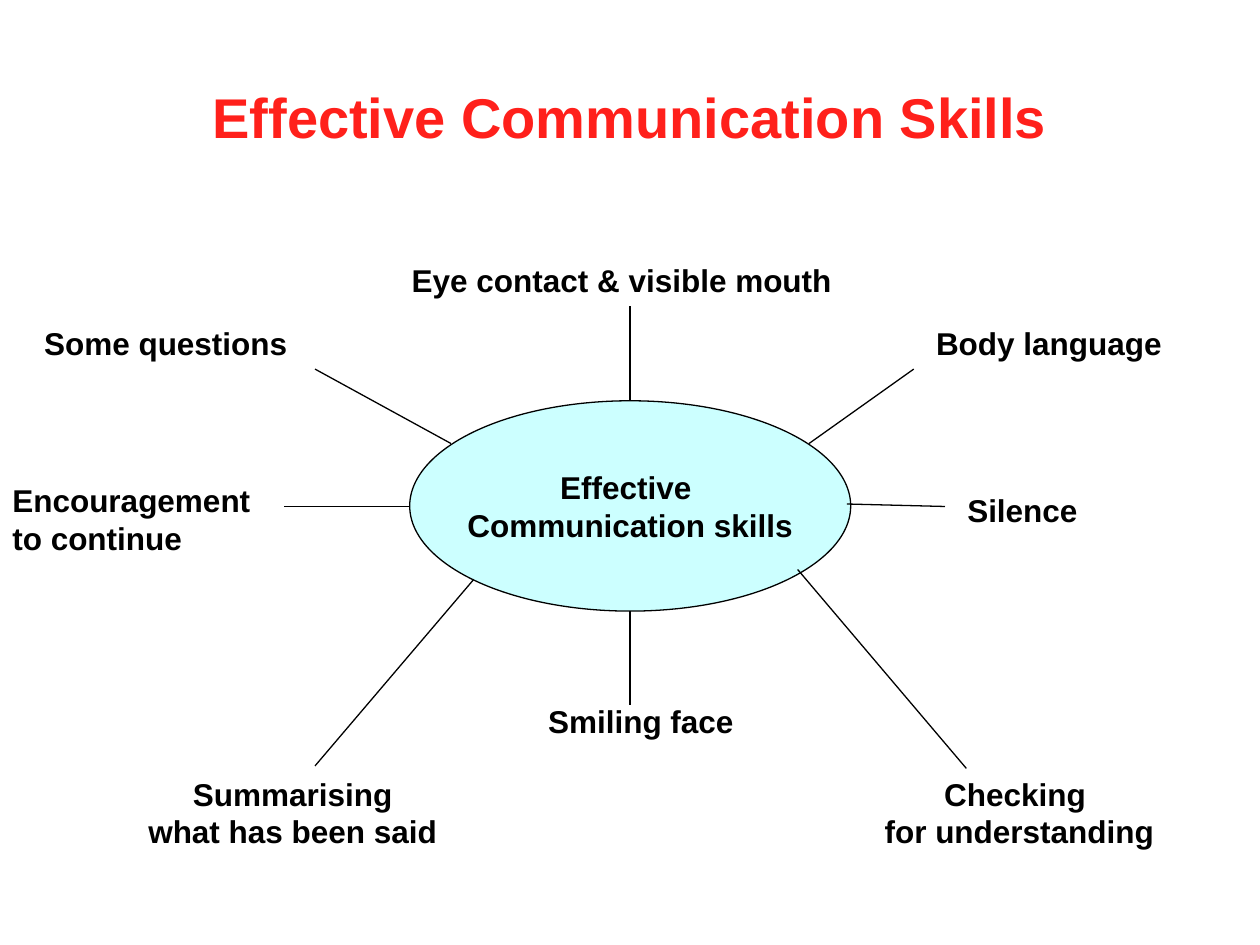
from pptx import Presentation
from pptx.dml.color import RGBColor
from pptx.enum.shapes import MSO_CONNECTOR, MSO_SHAPE
from pptx.enum.text import MSO_ANCHOR, PP_ALIGN
from pptx.oxml.ns import qn
from pptx.util import Cm, Pt
from lxml.etree import SubElement

RED = RGBColor(0xFF, 0x20, 0x1B)
BLACK = RGBColor(0, 0, 0)
PALE_CYAN = RGBColor(0xCC, 0xFF, 0xFF)
LEFT, CENTER = PP_ALIGN.LEFT, PP_ALIGN.CENTER

TITLE = "Effective Communication Skills"
TITLE_BOX = (0, 0.76, 25.4, 3.18)
HUB = ["Effective ", "Communication skills"]
HUB_BOX = (8.26, 8.08, 8.89, 4.24)

# lines, box, alignment, wrap, spoke start, spoke end
SKILLS = [
    (["Eye contact & visible mouth"], (8.05, 5.13, 9.73, 1.02), LEFT, True,
     (12.7, 8.08), (12.7, 6.17)),
    (["Body language"], (18.62, 6.4, 5.28, 1.02), LEFT, True,
     (16.31, 8.94), (18.42, 7.44)),
    (["Silence"], (19.25, 9.78, 2.97, 1.02), LEFT, True,
     (17.07, 10.16), (19.05, 10.21)),
    (["Checking ", "for understanding"], (17.58, 15.49, 5.94, 1.78), CENTER, False,
     (16.08, 11.48), (19.48, 15.49)),
    (["Smiling face"], (10.8, 14.02, 4.24, 1.02), LEFT, False,
     (12.7, 12.32), (12.7, 14.22)),
    (["Summarising ", "what has been said "], (2.74, 15.49, 6.5, 1.78), CENTER, False,
     (9.55, 11.68), (6.35, 15.44)),
    (["Encouragement", "to continue"], (0, 9.58, 5.49, 1.78), LEFT, False,
     (8.26, 10.21), (5.72, 10.21)),
    (["Some questions"], (0.64, 6.4, 5.41, 1.02), LEFT, False,
     (9.09, 8.94), (6.35, 7.44)),
]


def cm(values):
    return [Cm(v) for v in values]


def write(tf, lines, size=18, color=BLACK, align=LEFT, wrap=True, anchor=MSO_ANCHOR.TOP):
    tf.word_wrap = wrap
    tf.vertical_anchor = anchor
    for i, line in enumerate(lines):
        p = tf.paragraphs[0] if i == 0 else tf.add_paragraph()
        p.alignment = align
        r = p.add_run()
        r.text = line
        r.font.name = "Arial"
        r.font.size = Pt(size)
        r.font.bold = True
        r.font.color.rgb = color


def add_spoke(shapes, start, end):
    line = shapes.add_connector(MSO_CONNECTOR.STRAIGHT, *cm(start + end))
    line.line.color.rgb = BLACK
    line.line.width = Pt(0.75)
    SubElement(line._element.spPr, qn("a:effectLst"))


def main():
    prs = Presentation()
    prs.slide_width, prs.slide_height = Cm(25.4), Cm(19.05)
    slide = prs.slides.add_slide(prs.slide_layouts[5])
    shapes = slide.shapes

    title = shapes.title
    title.left, title.top, title.width, title.height = cm(TITLE_BOX)
    write(title.text_frame, [TITLE], size=32, color=RED, align=CENTER,
          anchor=MSO_ANCHOR.MIDDLE)

    hub = shapes.add_shape(MSO_SHAPE.OVAL, *cm(HUB_BOX))
    hub.shadow.inherit = False
    hub.fill.solid()
    hub.fill.fore_color.rgb = PALE_CYAN
    hub.line.color.rgb = BLACK
    hub.line.width = Pt(0.75)
    write(hub.text_frame, HUB, align=CENTER, wrap=False, anchor=MSO_ANCHOR.MIDDLE)

    for lines, box, align, wrap, start, end in SKILLS:
        add_spoke(shapes, start, end)
        label = shapes.add_textbox(*cm(box))
        write(label.text_frame, lines, align=align, wrap=wrap)

    prs.save("out.pptx")


if __name__ == "__main__":
    main()
